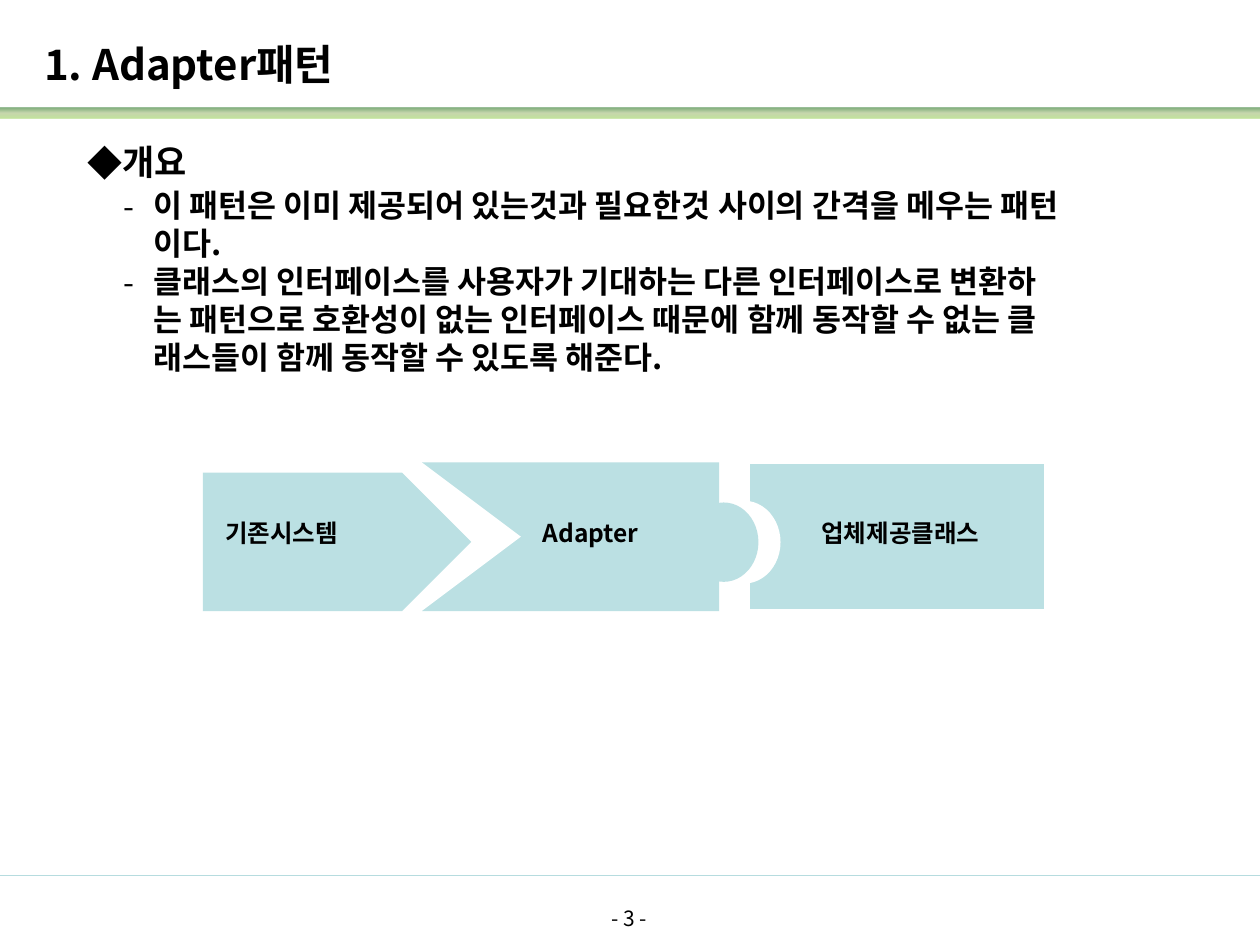
from dataclasses import dataclass

from lxml import etree
from pptx import Presentation
from pptx.dml.color import RGBColor
from pptx.enum.shapes import MSO_CONNECTOR, MSO_SHAPE
from pptx.enum.text import MSO_ANCHOR, MSO_AUTO_SIZE, PP_ALIGN
from pptx.oxml.ns import qn
from pptx.util import Cm, Pt

RECT, OVAL = MSO_SHAPE.RECTANGLE, MSO_SHAPE.OVAL
TRIANGLE, PENTAGON = MSO_SHAPE.ISOSCELES_TRIANGLE, MSO_SHAPE.PENTAGON
STRAIGHT = MSO_CONNECTOR.STRAIGHT
LEFT, CENTER = PP_ALIGN.LEFT, PP_ALIGN.CENTER
TOP, MIDDLE = MSO_ANCHOR.TOP, MSO_ANCHOR.MIDDLE
NO_AUTOFIT = MSO_AUTO_SIZE.NONE


@dataclass
class Theme:
    font: str = "Noto Sans CJK KR"
    text: str = "000000"
    paper: str = "FFFFFF"
    piece: str = "BBE0E3"
    rule: str = "B6DCDF"
    band: tuple = ((0, "92D050"), (50, "9CB86E"), (100, "156B13"))
    band_alpha: int = 56
    title: int = 24
    heading: int = 20
    body: int = 18
    label: int = 14
    page: int = 12


theme = Theme()


def style(paragraph, size, bold=True, align=LEFT):
    paragraph.alignment = align
    for run in paragraph.runs:
        run.font.size, run.font.bold = Pt(size), bold
        run.font.name = theme.font
        run.font.color.rgb = RGBColor.from_string(theme.text)
        east_asian = etree.Element(qn("a:ea"), typeface=theme.font)
        run.font._element.find(qn("a:latin")).addnext(east_asian)


def paint(shape, fill, line=None):
    shape.shadow.inherit = False
    shape.fill.solid()
    shape.fill.fore_color.rgb = RGBColor.from_string(fill)
    if line:
        shape.line.color.rgb = RGBColor.from_string(line)
        shape.line.width = Pt(2)
    else:
        shape.line.fill.background()


prs = Presentation()
prs.slide_width, prs.slide_height = Cm(25.4), Cm(19.05)
slide = prs.slides.add_slide(prs.slide_layouts[1])
shapes = slide.shapes

# Green band under the title
band = shapes.add_shape(RECT, 0, Cm(2.18), prs.slide_width, Cm(0.2))
band.shadow.inherit = False
band.line.fill.background()
band.fill.gradient()
band.fill.gradient_angle = 90
stops = band._element.spPr.find(qn("a:gradFill")).find(qn("a:gsLst"))
for stop in list(stops):
    stops.remove(stop)
for position, color in theme.band:
    stop = etree.SubElement(stops, qn("a:gs"), pos=str(position * 1000))
    tint = etree.SubElement(stop, qn("a:srgbClr"), val=color)
    etree.SubElement(tint, qn("a:alpha"), val=str(theme.band_alpha * 1000))

# Footer rule and page number
rule = shapes.add_connector(STRAIGHT, 0, Cm(17.65), prs.slide_width, Cm(17.65))
rule.line.color.rgb = RGBColor.from_string(theme.rule)
rule.line.width = Pt(0.75)
etree.SubElement(rule._element.spPr, qn("a:effectLst"))

page = shapes.add_textbox(Cm(9.73), Cm(18.14), Cm(5.92), Cm(1.32)).text_frame
page.word_wrap = True
page.text = "- 3 -"
style(page.paragraphs[0], theme.page, bold=False, align=CENTER)

# Title
title = shapes.title
title.left, title.top, title.width, title.height = Cm(0.89), Cm(0.71), Cm(15.54), Cm(1.14)
heading = title.text_frame
heading.text = "1. Adapter패턴"
heading.auto_size, heading.vertical_anchor = NO_AUTOFIT, MIDDLE
heading.margin_left = heading.margin_right = 0
style(heading.paragraphs[0], theme.title)

# Overview: text, bullet, size, left margin, hang (cm), line height, space before (pt)
overview = [
    ("개요", "◆", theme.heading, 0.69, 0.69, 33, 0),
    ("이 패턴은 이미 제공되어 있는것과 필요한것 사이의 간격을 메우는 패턴\v이다.",
     "-", theme.body, 1.34, 0.6, 21.7, 2),
    ("클래스의 인터페이스를 사용자가 기대하는 다른 인터페이스로 변환하\v"
     "는 패턴으로 호환성이 없는 인터페이스 때문에 함께 동작할 수 없는 클\v"
     "래스들이 함께 동작할 수 있도록 해준다.",
     "-", theme.body, 1.34, 0.6, 21.7, 0),
]
body = slide.placeholders[1]
body.left, body.top, body.width, body.height = Cm(1.5), Cm(2.39), Cm(22.61), Cm(7.01)
points = body.text_frame
points.auto_size, points.vertical_anchor = NO_AUTOFIT, TOP
for index, (text, bullet, size, margin, hang, height, before) in enumerate(overview):
    point = points.add_paragraph() if index else points.paragraphs[0]
    point.text = text
    style(point, size)
    point.line_spacing = Pt(height)
    point.space_before, point.space_after = Pt(before), Pt(0)
    properties = point._p.get_or_add_pPr()
    properties.set("marL", str(Cm(margin)))
    properties.set("indent", str(-Cm(hang)))
    etree.SubElement(properties, qn("a:buFont"), typeface=theme.font)
    etree.SubElement(properties, qn("a:buChar"), char=bullet)

# Puzzle pieces, back to front: vendor class, socket, knob, adapter, notch, old system
puzzle = shapes.add_group_shape().shapes
pieces = [
    (RECT, 15.09, 9.32, 5.99, 3, 0, theme.piece, theme.paper),
    (OVAL, 14.3, 10.13, 1.4, 1.6, 0, theme.paper, theme.paper),
    (OVAL, 13.89, 10.13, 1.4, 1.6, 0, theme.piece, None),
    (RECT, 8.51, 9.32, 5.99, 3, 0, theme.piece, None),
    (TRIANGLE, 8, 9.82, 3, 2, 90, theme.paper, None),
    (PENTAGON, 4.09, 9.53, 5.41, 2.79, 0, theme.piece, None),
]
for kind, left, top, width, height, turn, fill, line in pieces:
    piece = puzzle.add_shape(kind, Cm(left), Cm(top), Cm(width), Cm(height))
    piece.rotation = turn
    paint(piece, fill, line)

# Piece labels
for text, left in [("업체제공클래스", 16.31), ("Adapter", 10.69), ("기존시스템", 4.29)]:
    label = puzzle.add_textbox(Cm(left), Cm(10.31), Cm(4.39), Cm(0.86)).text_frame
    label.word_wrap = True
    label.text = text
    style(label.paragraphs[0], theme.label)

prs.save("out.pptx")
